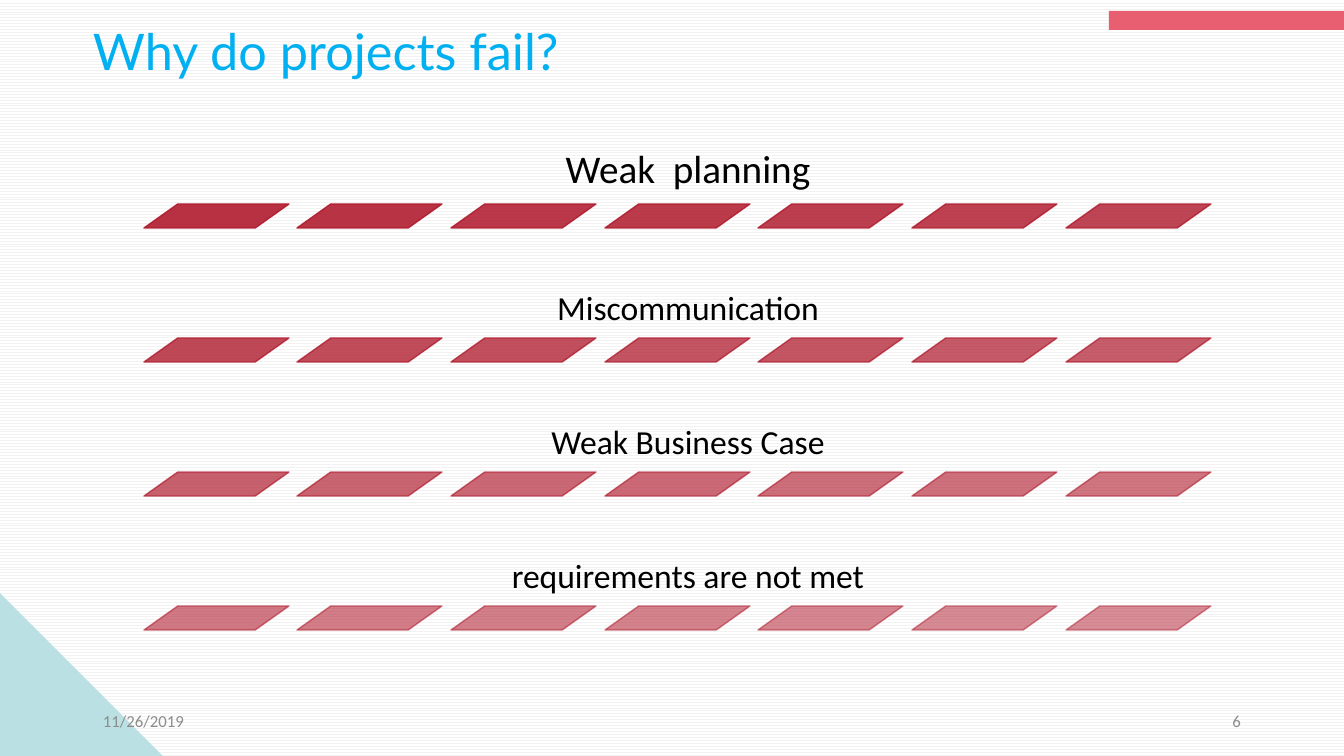
from pptx import Presentation
from pptx import util as u
from pptx.dml.color import RGBColor
from pptx.enum import dml, shapes, text
from pptx.oxml.ns import qn
from lxml import etree

EMU_PER_PX = 12192000 / 1344
CAUSES = [("Weak  planning", 28, 12), ("Miscommunication", 24, 10),
          ("Weak Business Case", 24, 10), ("requirements are not met", 24, 10)]
BARS_PER_ROW = 7
LEFT, FIRST_BAR_TOP, ROW_PITCH = 144, 204, 134
LABEL_W, LABEL_H = 1088, 99
BAR_W, BAR_H, BAR_SPAN = 145, 24, 922


def px(n):
    return u.Emu(round(n * EMU_PER_PX))


def rgb(color):
    return RGBColor.from_string(color)


def set_background(slide, fore, back):
    fill = slide.background.fill
    fill.patterned()
    fill.pattern = dml.MSO_PATTERN.ZIG_ZAG
    fill.fore_color.rgb = rgb(fore)
    fill.back_color.rgb = rgb(back)


def write(tf, content, size, font, color, align, anchor, margins):
    tf.word_wrap = True
    tf.vertical_anchor = anchor
    tf.margin_left = tf.margin_right = px(margins[0])
    tf.margin_top = tf.margin_bottom = px(margins[1])
    p = tf.paragraphs[0]
    p.alignment = align
    r = p.add_run()
    r.text = content
    r.font.size = u.Pt(size)
    r.font.name = font
    r.font.color.rgb = rgb(color)
    return p


def add_title(slide, content):
    sp = slide.shapes.title
    sp.left, sp.top, sp.width, sp.height = px(93), px(20), px(1191), px(61)
    write(sp.text_frame, content, 36, "Lato", "00B0F0",
          text.PP_ALIGN.LEFT, text.MSO_ANCHOR.TOP, (0, 0))
    sp.text_frame.auto_size = text.MSO_AUTO_SIZE.SHAPE_TO_FIT_TEXT


def add_label(slide, box, content, size, color, align, anchor, margins):
    sp = slide.shapes.add_textbox(*map(px, box))
    return write(sp.text_frame, content, size, "Calibri", color, align, anchor, margins)


def add_solid(slide, kind, box, color):
    sp = slide.shapes.add_shape(kind, *map(px, box))
    sp.shadow.inherit = False
    sp.fill.solid()
    sp.fill.fore_color.rgb = rgb(color)
    sp.line.fill.background()
    return sp


def add_bar(slide, left, top, opacity):
    sp = add_solid(slide, shapes.MSO_SHAPE.PARALLELOGRAM, (left, top, BAR_W, BAR_H), "B01B2E")
    sp.adjustments[0] = 1.408
    sp.line.color.rgb = rgb("B01B2E")
    sp.line.width = u.Pt(1)
    # Same opacity for fill and outline
    for clr in sp._element.spPr.iter(qn("a:srgbClr")):
        etree.SubElement(clr, qn("a:alpha")).set("val", str(opacity * 1000))


def add_cause(slide, row, content, size, margin):
    top = FIRST_BAR_TOP + row * ROW_PITCH
    p = add_label(slide, (LEFT, top - LABEL_H, LABEL_W, LABEL_H), content, size, "000000",
                  text.PP_ALIGN.CENTER, text.MSO_ANCHOR.BOTTOM, (margin, margin))
    p.line_spacing = 0.9
    # Bars fade evenly from 90 % to 50 % across all rows
    last = len(CAUSES) * BARS_PER_ROW - 1
    for col in range(BARS_PER_ROW):
        step = row * BARS_PER_ROW + col
        left = LEFT + BAR_SPAN * col // (BARS_PER_ROW - 1)
        add_bar(slide, left, top, round(90 - 40 * step / last))


def main():
    prs = Presentation()
    prs.slide_width, prs.slide_height = px(1344), px(756)
    slide = prs.slides.add_slide(prs.slide_layouts[5])
    set_background(slide, "F2F2F2", "FFFFFF")

    # Corner decoration
    add_solid(slide, shapes.MSO_SHAPE.RIGHT_TRIANGLE, (0, 593, 163, 163), "BBE0E3")
    add_solid(slide, shapes.MSO_SHAPE.RECTANGLE, (1109, 11, 235, 19), "E75F71")

    add_title(slide, "Why do projects fail?")

    # Footer
    for left, content, align in [(93, "11/26/2019", text.PP_ALIGN.LEFT),
                                 (949, "6", text.PP_ALIGN.RIGHT)]:
        add_label(slide, (left, 701, 302, 40), content, 12, "8C8C8C",
                  align, text.MSO_ANCHOR.MIDDLE, (10, 5))

    # Causes, each above its row of bars
    for row, (content, size, margin) in enumerate(CAUSES):
        add_cause(slide, row, content, size, margin)

    prs.save("out.pptx")


if __name__ == "__main__":
    main()
